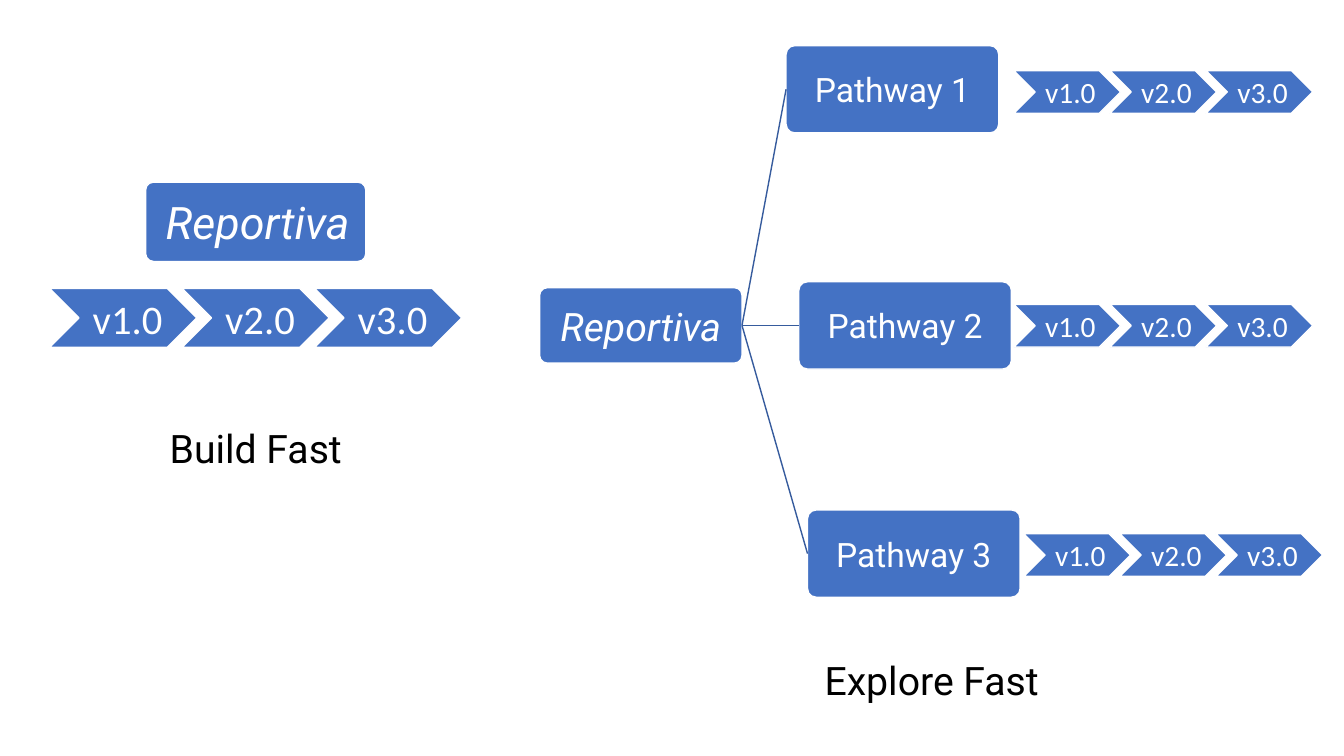
from lxml.etree import SubElement
from pptx import Presentation
from pptx.dml.color import RGBColor as Rgb
from pptx.enum.shapes import MSO_CONNECTOR as Link, MSO_SHAPE as Form
from pptx.enum.text import MSO_ANCHOR as Anchor, PP_ALIGN as Align
from pptx.oxml.ns import qn
from pptx.util import Cm, Pt

COLORS = {"blue": "4472C4", "line": "365B9D", "white": "FFFFFF", "black": "000000"}
STEPS = ("v1.0", "v2.0", "v3.0")
PRODUCT = "Reportiva"
PATHS = (
    ("Pathway 1", 19.81, 1.15, 25.55, 1.78),
    ("Pathway 2", 20.13, 7.1, 25.55, 7.67),
    ("Pathway 3", 20.35, 12.85, 25.8, 13.45),
)


def color(name):
    return Rgb.from_string(COLORS[name])


def write(shape, text, size, font="Roboto", tint="white", italic=False):
    frame = shape.text_frame
    frame.text = text
    frame.vertical_anchor = Anchor.MIDDLE
    para = frame.paragraphs[0]
    para.alignment = Align.CENTER
    face = para.runs[0].font
    face.name = font
    face.size = Pt(size)
    face.italic = italic
    face.color.rgb = color(tint)


def pad(shape, left, side):
    frame = shape.text_frame
    frame.word_wrap = False
    frame.margin_left = Cm(left)
    frame.margin_right = frame.margin_top = frame.margin_bottom = Cm(side)


def add_form(slide, form, left, top, width, height):
    shape = slide.shapes.add_shape(form, Cm(left), Cm(top), Cm(width), Cm(height))
    shape.shadow.inherit = False
    shape.fill.solid()
    shape.fill.fore_color.rgb = color("blue")
    shape.line.color.rgb = color("white")
    shape.line.width = Pt(1)
    return shape


def add_box(slide, text, left, top, width, height, size, italic=False, shift=0):
    box = add_form(slide, Form.ROUNDED_RECTANGLE, left, top, width, height)
    box.adjustments[0] = 0.1
    write(box, text, size, italic=italic)
    pad(box, 0.06 + shift, 0.06)
    return box


def add_steps(slide, left, top, width, size):
    for i, step in enumerate(STEPS):
        arrow = add_form(slide, Form.CHEVRON, left + i * 0.9 * width, top, width, 0.4 * width)
        write(arrow, step, size, font="Calibri")
        pad(arrow, 0.09 * width, 0.03 * width)


def add_title(slide, text, left, top, width):
    label = slide.shapes.add_textbox(Cm(left), Cm(top), Cm(width), Cm(1.45))
    label.text_frame.word_wrap = True
    write(label, text, 28, tint="black")


def join(slide, start, end):
    line = slide.shapes.add_connector(Link.STRAIGHT, 0, 0, 0, 0)
    line.begin_connect(start, 3)
    line.end_connect(end, 1)
    line.line.color.rgb = color("line")
    line.line.width = Pt(1)
    SubElement(line.element.spPr, qn("a:effectLst"))


def main():
    deck = Presentation()
    deck.slide_width = Cm(33.87)
    deck.slide_height = Cm(19.05)
    slide = deck.slides.add_slide(deck.slide_layouts[6])

    add_box(slide, PRODUCT, 3.67, 4.59, 5.55, 2, 32, italic=True, shift=0.1)
    add_steps(slide, 1.25, 7.27, 3.71, 29)
    add_title(slide, "Build Fast", 1.25, 10.57, 10.39)

    hub = add_box(slide, PRODUCT, 13.6, 7.25, 5.1, 1.9, 28, italic=True)
    for name, left, top, step_left, step_top in PATHS:
        box = add_box(slide, name, left, top, 5.36, 2.2, 24)
        join(slide, hub, box)
        add_steps(slide, step_left, step_top, 2.69, 21)
    add_title(slide, "Explore Fast", 13.6, 16.4, 19.76)

    deck.save("out.pptx")


if __name__ == "__main__":
    main()
